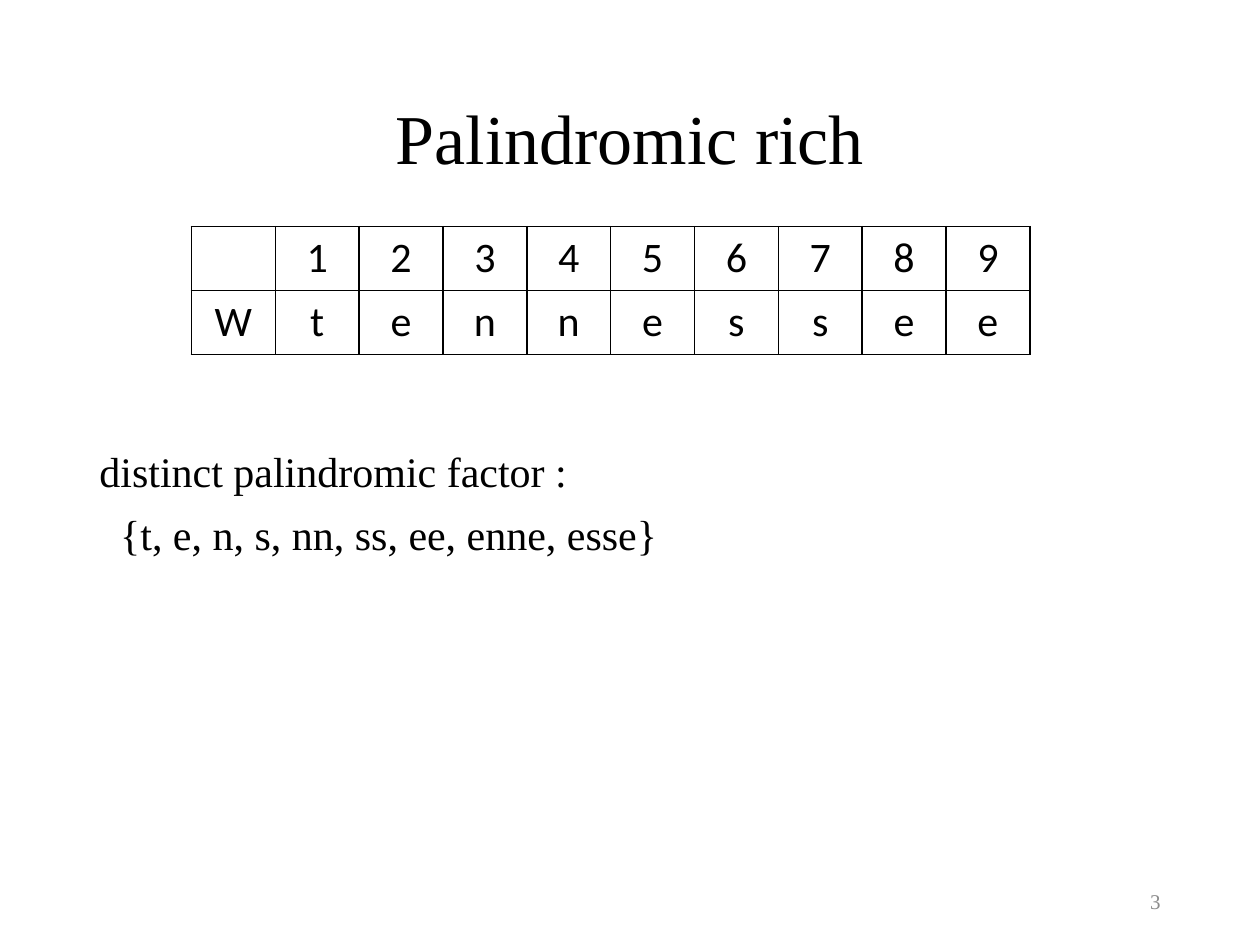
from dataclasses import dataclass

from lxml import etree
from pptx import Presentation
from pptx.dml.color import RGBColor
from pptx.enum.text import MSO_ANCHOR, MSO_AUTO_SIZE, PP_ALIGN
from pptx.oxml.ns import qn
from pptx.util import Cm, Pt

LEFT, CENTER, RIGHT = PP_ALIGN.LEFT, PP_ALIGN.CENTER, PP_ALIGN.RIGHT
TOP, MIDDLE = MSO_ANCHOR.TOP, MSO_ANCHOR.MIDDLE
FIXED = MSO_AUTO_SIZE.NONE


@dataclass(frozen=True)
class Theme:
    serif: str = "Times New Roman"
    sans: str = "Calibri"
    ink: str = "000000"
    gray: str = "8C8C8C"
    head: int = 40
    main: int = 24
    foot: int = 12
    rule: int = 1


class Deck:
    def __init__(self, theme):
        self.theme = theme
        self.show = Presentation()
        self.show.slide_width, self.show.slide_height = Cm(25.4), Cm(19.05)
        self.slide = self.show.slides.add_slide(self.show.slide_layouts[1])

    def style(self, para, face, size, color, align):
        para.alignment = align
        font = para.font
        font.name, font.size = face, Pt(size)
        font.color.rgb = RGBColor.from_string(color)

    def place(self, shape, box, anchor):
        shape.left, shape.top, shape.width, shape.height = map(Cm, box)
        frame = shape.text_frame
        frame.word_wrap = True
        frame.auto_size = FIXED
        frame.vertical_anchor = anchor
        return frame

    def title(self, text, box):
        para = self.place(self.slide.shapes.title, box, MIDDLE).paragraphs[0]
        para.text = text
        para.line_spacing = 0.9
        self.style(para, self.theme.serif, self.theme.head, self.theme.ink, CENTER)

    def body(self, lines, box):
        frame = self.place(self.slide.placeholders[1], box, TOP)
        for i, (text, inset) in enumerate(lines):
            para = frame.add_paragraph() if i else frame.paragraphs[0]
            para.text = text
            props = para._p.get_or_add_pPr()
            props.set("marL", str(Cm(inset)))
            props.set("indent", "0")
            etree.SubElement(props, qn("a:buNone"))
            para.line_spacing = 0.9
            para.space_before = Pt(10 if i else 0)
            self.style(para, self.theme.serif, self.theme.main, self.theme.ink, LEFT)

    def label(self, text, box):
        shape = self.slide.shapes.add_textbox(*map(Cm, box))
        para = self.place(shape, box, MIDDLE).paragraphs[0]
        para.text = text
        self.style(para, self.theme.serif, self.theme.foot, self.theme.gray, RIGHT)

    def border(self, cell):
        props = cell._tc.get_or_add_tcPr()
        for side in ("L", "R", "T", "B"):
            line = etree.SubElement(
                props, qn(f"a:ln{side}"), w=str(Pt(self.theme.rule)))
            fill = etree.SubElement(line, qn("a:solidFill"))
            etree.SubElement(fill, qn("a:srgbClr"), val=self.theme.ink)

    def table(self, rows, left, top, wide, high):
        count = len(rows[0])
        grid = self.slide.shapes.add_table(
            len(rows), count, Cm(left), Cm(top),
            Cm(wide * count), Cm(high * len(rows))).table
        grid.first_row = grid.horz_banding = False
        for col in grid.columns:
            col.width = Cm(wide)
        for row, texts in zip(grid.rows, rows):
            row.height = Cm(high)
            for cell, text in zip(row.cells, texts):
                cell.text = text
                self.border(cell)
                cell.fill.background()
                self.style(cell.text_frame.paragraphs[0], self.theme.sans,
                           self.theme.main, self.theme.ink, CENTER)


def main():
    deck = Deck(Theme())
    deck.title("Palindromic rich", (1.75, 1.02, 21.9, 3.68))
    deck.body([("distinct palindromic factor :", 0),
               ("{t, e, n, s, nn, ss, ee, enne, esse}", 0.42)],
              (1.75, 8.97, 21.9, 8.2))
    deck.label("3", (17.94, 17.65, 5.71, 1.02))
    word = "tennessee"
    places = [str(i) for i in range(1, len(word) + 1)]
    deck.table([["", *places], ["W", *word]], 3.86, 4.57, 1.69, 1.29)
    deck.show.save("out.pptx")


if __name__ == "__main__":
    main()
